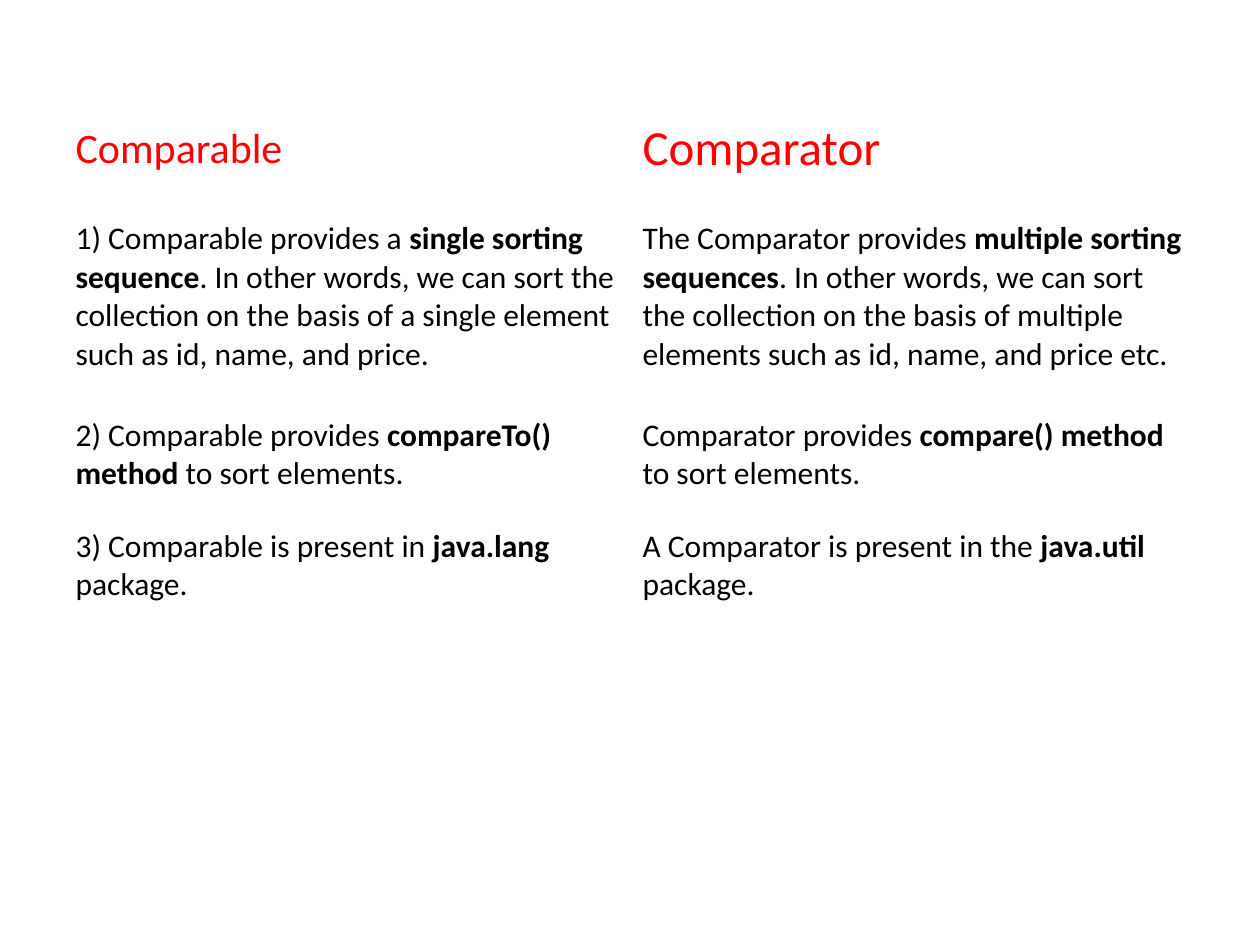
import pptx
import pptx.dml.color
import pptx.enum.text
import pptx.util

Inches = pptx.util.Inches

HEADINGS = [("Comparable", 24), ("Comparator", 28)]
DIFFERENCES = [
    (
        ("1) Comparable provides a ", "single sorting sequence",
         ". In other words, we can sort the collection on the basis of "
         "a single element such as id, name, and price."),
        ("The Comparator provides ", "multiple sorting sequences",
         ". In other words, we can sort the collection on the basis of "
         "multiple elements such as id, name, and price etc."),
    ),
    (
        ("2) Comparable provides ", "compareTo() method", " to sort elements."),
        ("Comparator provides ", "compare() method", " to sort elements."),
    ),
    (
        ("3) Comparable is present in ", "java.lang", " package."),
        ("A Comparator is present in the ", "java.util", " package."),
    ),
]


def color(hex_code):
    return pptx.dml.color.RGBColor.from_string(hex_code)


def add_text(paragraph, text, *, font, size, ink, bold=False):
    run = paragraph.add_run()
    run.text = text
    run.font.name = font
    run.font.size = pptx.util.Pt(size)
    run.font.bold = bold
    run.font.color.rgb = color(ink)


class ComparisonSlide:
    font = "Calibri"
    heading_ink = "FF0000"
    body_ink = "000000"
    body_size = 18

    def __init__(self, slide):
        self.slide = slide

    def add_table(self, left, top, column_widths, row_heights):
        table = self.slide.shapes.add_table(
            len(row_heights), len(column_widths), Inches(left), Inches(top),
            Inches(sum(column_widths)), Inches(sum(row_heights))).table
        table.first_row = False
        table.horz_banding = False
        for column, width in zip(table.columns, column_widths):
            column.width = Inches(width)
        for row, height in zip(table.rows, row_heights):
            row.height = Inches(height)
        for cell in table.iter_cells():
            cell.fill.background()
            cell.vertical_anchor = pptx.enum.text.MSO_ANCHOR.MIDDLE
        return table

    def write_heading(self, cell, heading, size):
        add_text(cell.text_frame.paragraphs[0], heading,
                 font=self.font, size=size, ink=self.heading_ink)

    def write_statement(self, cell, opening, key_term, ending):
        paragraph = cell.text_frame.paragraphs[0]
        for phrase in (opening, key_term, ending):
            add_text(paragraph, phrase, font=self.font, size=self.body_size,
                     ink=self.body_ink, bold=phrase == key_term)


def main():
    presentation = pptx.Presentation()
    presentation.slide_width = Inches(10)
    presentation.slide_height = Inches(7.5)
    blank_layout = presentation.slide_layouts[6]
    comparison = ComparisonSlide(presentation.slides.add_slide(blank_layout))

    differences = comparison.add_table(
        0.5, 0.83, [4.5, 4.5], [0.71, 1.63, 0.88, 0.88])
    for column, (heading, size) in enumerate(HEADINGS):
        comparison.write_heading(differences.cell(0, column), heading, size)
    for row, statements in enumerate(DIFFERENCES, start=1):
        for column, statement in enumerate(statements):
            comparison.write_statement(differences.cell(row, column), *statement)

    presentation.save("out.pptx")


if __name__ == "__main__":
    main()
